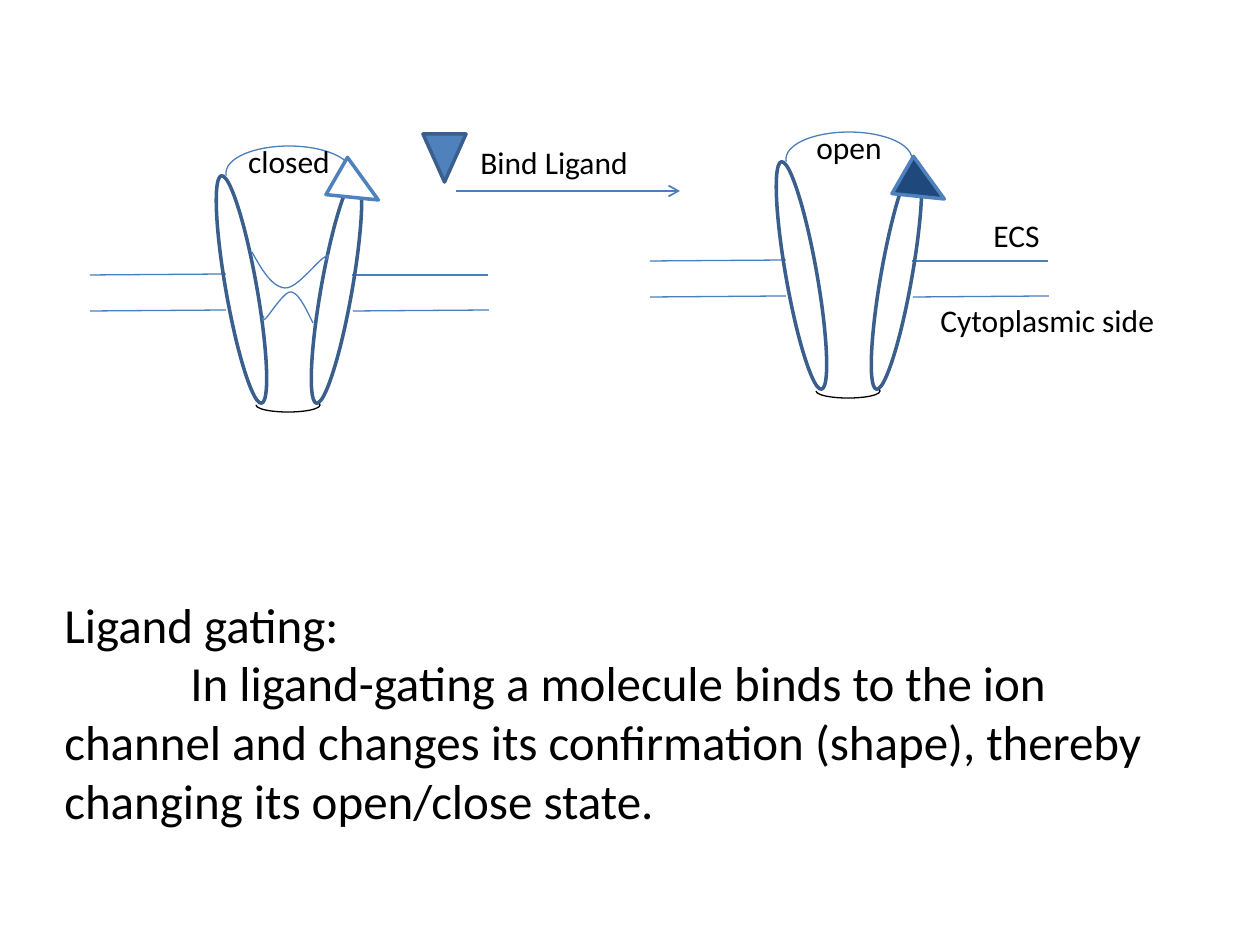
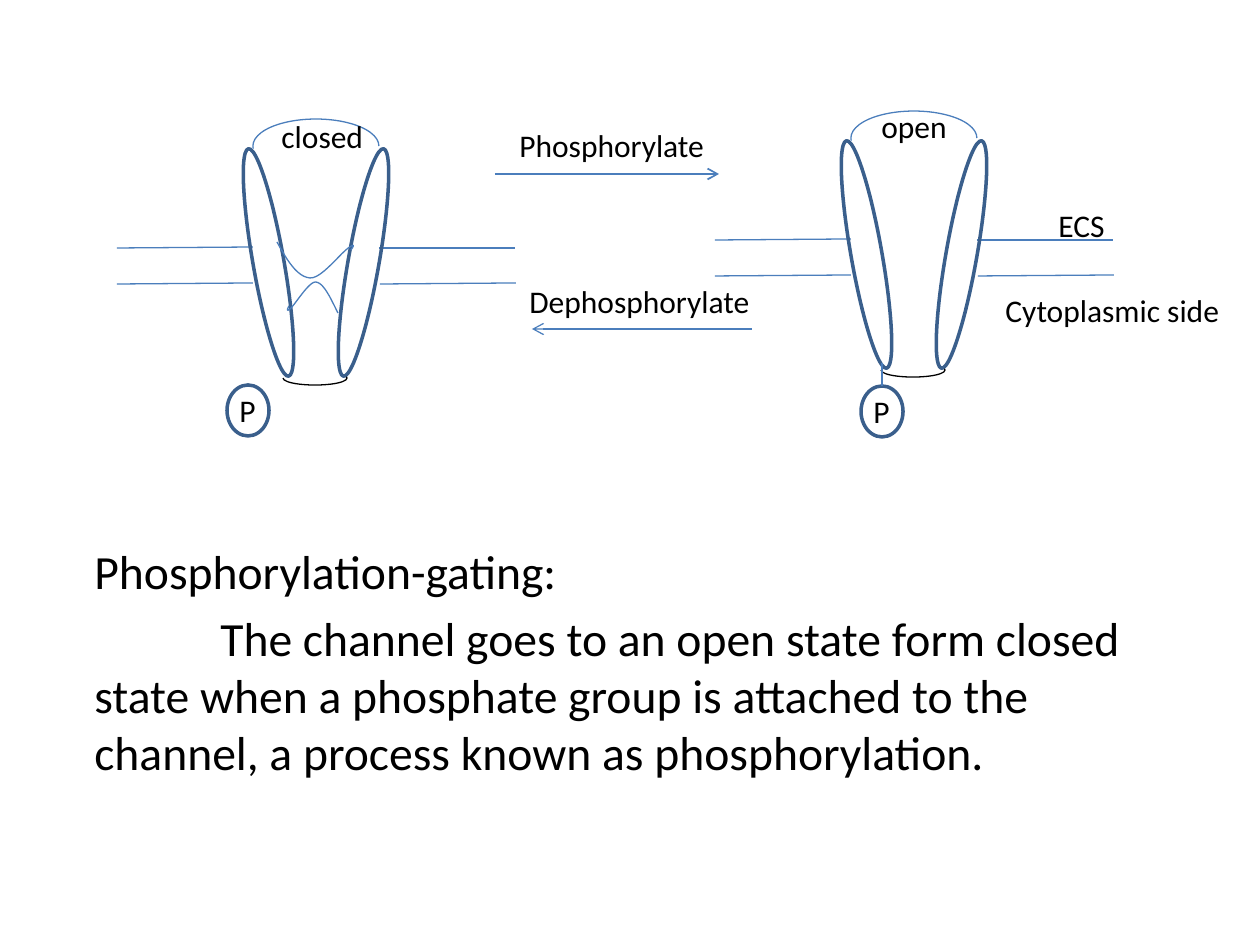
"""Build two slides on ligand gating and phosphorylation gating of ion channels."""
from dataclasses import dataclass

from lxml import etree
from pptx import Presentation
from pptx import util as u
from pptx.dml.color import RGBColor
from pptx.enum import shapes, text
from pptx.oxml.ns import qn

PX_PER_INCH = 126


@dataclass(frozen=True)
class Theme:
    font: str = "Calibri"
    ink: str = "000000"
    paper: str = "FFFFFF"
    thin_line: str = "4B7EBC"
    outline: str = "3A5F8C"
    accent: str = "4F81BD"
    bound: str = "1F497D"
    label_size: float = 18
    ligand_text_size: float = 28
    phospho_text_size: float = 27.2
    hairline: float = 0.75
    arrow_line: float = 1
    thick: float = 2


def px(length):
    return u.Inches(length / PX_PER_INCH)


def bezier(start, control_a, control_b, end, steps=12):
    for step in range(1, steps + 1):
        t = step / steps
        weights = ((1 - t) ** 3, 3 * t * (1 - t) ** 2, 3 * t ** 2 * (1 - t), t ** 3)
        corners = (start, control_a, control_b, end)
        yield tuple(sum(w * c[axis] for w, c in zip(weights, corners)) for axis in (0, 1))


class Sketch:
    def __init__(self, deck, theme):
        self.deck, self.theme, self.page = deck, theme, None

    def new_page(self):
        self.page = self.deck.slides.add_slide(self.deck.slide_layouts[6])

    def stroke(self, line, color, width):
        line.color.rgb = RGBColor.from_string(color)
        line.width = u.Pt(width)

    def style_text(self, para, size):
        para.font.name = self.theme.font
        para.font.size = u.Pt(size)
        para.font.color.rgb = RGBColor.from_string(self.theme.ink)

    def finish(self, shape, color, width, fill=None):
        shape.shadow.inherit = False
        if fill:
            shape.fill.solid()
            shape.fill.fore_color.rgb = RGBColor.from_string(fill)
        else:
            shape.fill.background()
        self.stroke(shape.line, color, width)

    def shape(self, kind, box, color, width, fill=None, turn=0):
        shape = self.page.shapes.add_shape(kind, *map(px, box))
        shape.rotation = turn
        self.finish(shape, color, width, fill)
        return shape

    def ellipse(self, box, turn=0):
        self.shape(shapes.MSO_SHAPE.OVAL, box, self.theme.outline, self.theme.thick, turn=turn)

    def triangle(self, x, y, fill, color, turn):
        self.shape(shapes.MSO_SHAPE.ISOSCELES_TRIANGLE, (x, y, 43, 48), color,
                   self.theme.thick, fill, turn)

    def arc(self, box, color, turn=0, words=""):
        arc = self.shape(shapes.MSO_SHAPE.ARC, box, color, self.theme.hairline, turn=turn)
        arc.adjustments[0] = 106.592
        arc.adjustments[1] = 0
        if words:
            arc.text_frame.vertical_anchor = text.MSO_ANCHOR.MIDDLE
            para = arc.text_frame.paragraphs[0]
            para.text = words
            para.alignment = text.PP_ALIGN.CENTER
            self.style_text(para, self.theme.label_size)

    def line(self, x1, y1, x2, y2, width=None, arrow=False):
        line = self.page.shapes.add_connector(
            shapes.MSO_CONNECTOR.STRAIGHT, px(x1), px(y1), px(x2), px(y2))
        self.stroke(line.line, self.theme.thin_line, width or self.theme.hairline)
        if arrow:
            etree.SubElement(line.line._get_or_add_ln(), qn("a:tailEnd"), type="arrow")
        etree.SubElement(line._element.spPr, qn("a:effectLst"))

    def curve(self, start, *segments):
        points = [start]
        for segment in segments:
            points.extend(bezier(points[-1], *segment))
        outline = [(px(x), px(y)) for x, y in points]
        builder = self.page.shapes.build_freeform(*outline[0])
        builder.add_line_segments(outline[1:], close=False)
        self.finish(builder.convert_to_shape(), self.theme.thin_line, self.theme.hairline)

    def label(self, words, x, y, width, height=50):
        box = self.page.shapes.add_textbox(*map(px, (x, y, width, height)))
        box.text_frame.word_wrap = False
        box.text_frame.auto_size = text.MSO_AUTO_SIZE.SHAPE_TO_FIT_TEXT
        para = box.text_frame.paragraphs[0]
        para.text = words
        self.style_text(para, self.theme.label_size)

    def passage(self, heading, body, box, size, gap=0):
        frame = self.page.shapes.add_textbox(*map(px, box)).text_frame
        frame.word_wrap = True
        frame.text = f"{heading}\n{body}"
        for para in frame.paragraphs:
            self.style_text(para, size)
        body_para = frame.paragraphs[1]
        body_para.space_before = u.Pt(gap)
        properties = body_para._p.get_or_add_pPr()
        properties.set("marL", "0")
        properties.set("indent", str(px(126)))

    def channel(self, x, y, state=""):
        for left, right, rise in ((x - 136, x, 1), (x + 126, x + 262, 0)):
            self.line(left, y + 129, right, y + 129 - rise)
        for left, right in ((x - 136, x), (x + 127, x + 263)):
            self.line(left, y + 165, right, y + 164)
        for offset, turn in ((0, -10), (95, 10)):
            self.ellipse((x + offset, y + 28, 31, 231), turn)
        self.arc((x, y, 126, 54), self.theme.thin_line, words=state)
        self.arc((x + 30, y + 252, 64, 14), self.theme.ink, turn=180)

    def gate(self, x, y):
        def at(*points):
            return [(x + dx, y + dy) for dx, dy in points]
        self.curve((x, y), at((10, 18), (20, 35), (33, 36)),
                   at((45, 37), (65, 9), (73, 5)), at((80, 0), (74, 8), (74, 8)))
        self.curve((x + 61, y + 71), at((54, 57), (47, 41), (39, 40)),
                   at((32, 39), (18, 63), (13, 67)), at((8, 71), (12, 64), (12, 64)))

    def phosphate(self, x, y):
        self.ellipse((x, y, 42, 51))
        self.label("P", x, y, 42)

    def sides(self, x, y, cytoplasm_x, cytoplasm_y):
        self.label("ECS", x, y, 72)
        self.label("Cytoplasmic side", cytoplasm_x, cytoplasm_y, 242)


def ligand_slide(sketch):
    theme = sketch.theme
    sketch.new_page()
    sketch.channel(226, 146, "closed")
    sketch.channel(786, 132, "open")
    sketch.line(456, 191, 680, 191, theme.arrow_line, arrow=True)
    sketch.label("Bind Ligand", 468, 137, 175)
    sketch.sides(981, 210, 928, 295)
    sketch.triangle(336, 164, theme.paper, theme.accent, 120)
    sketch.triangle(423, 134, theme.accent, theme.outline, 180)
    sketch.triangle(902, 163, theme.bound, theme.accent, 120)
    sketch.gate(252, 252)
    sketch.passage(
        "Ligand gating:",
        "In ligand-gating a molecule binds to the ion channel and changes its "
        "confirmation (shape), thereby changing its open/close state.",
        (52, 588, 1144, 251), theme.ligand_text_size)


def phosphorylation_slide(sketch):
    theme = sketch.theme
    sketch.new_page()
    sketch.passage(
        "Phosphorylation-gating:",
        "The channel goes to an open state form closed state when a phosphate group "
        "is attached to the channel, a process known as phosphorylation.",
        (82, 536, 1071, 252), theme.phospho_text_size, gap=5.4)
    sketch.channel(253, 119)
    sketch.channel(851, 111, "open")
    sketch.phosphate(227, 385)
    sketch.phosphate(861, 386)
    sketch.line(882, 386, 882, 363)
    sketch.line(495, 174, 719, 174, theme.arrow_line, arrow=True)
    sketch.label("Phosphorylate", 507, 120, 212)
    sketch.label("Dephosphorylate", 517, 276, 248)
    sketch.line(752, 329, 532, 329, arrow=True)
    sketch.sides(1046, 200, 993, 285)
    sketch.label("closed", 269, 111, 108)
    sketch.gate(277, 242)


def main():
    deck = Presentation()
    deck.slide_width, deck.slide_height = u.Inches(10), u.Inches(7.5)
    sketch = Sketch(deck, Theme())
    ligand_slide(sketch)
    phosphorylation_slide(sketch)
    deck.save("out.pptx")


if __name__ == "__main__":
    main()
